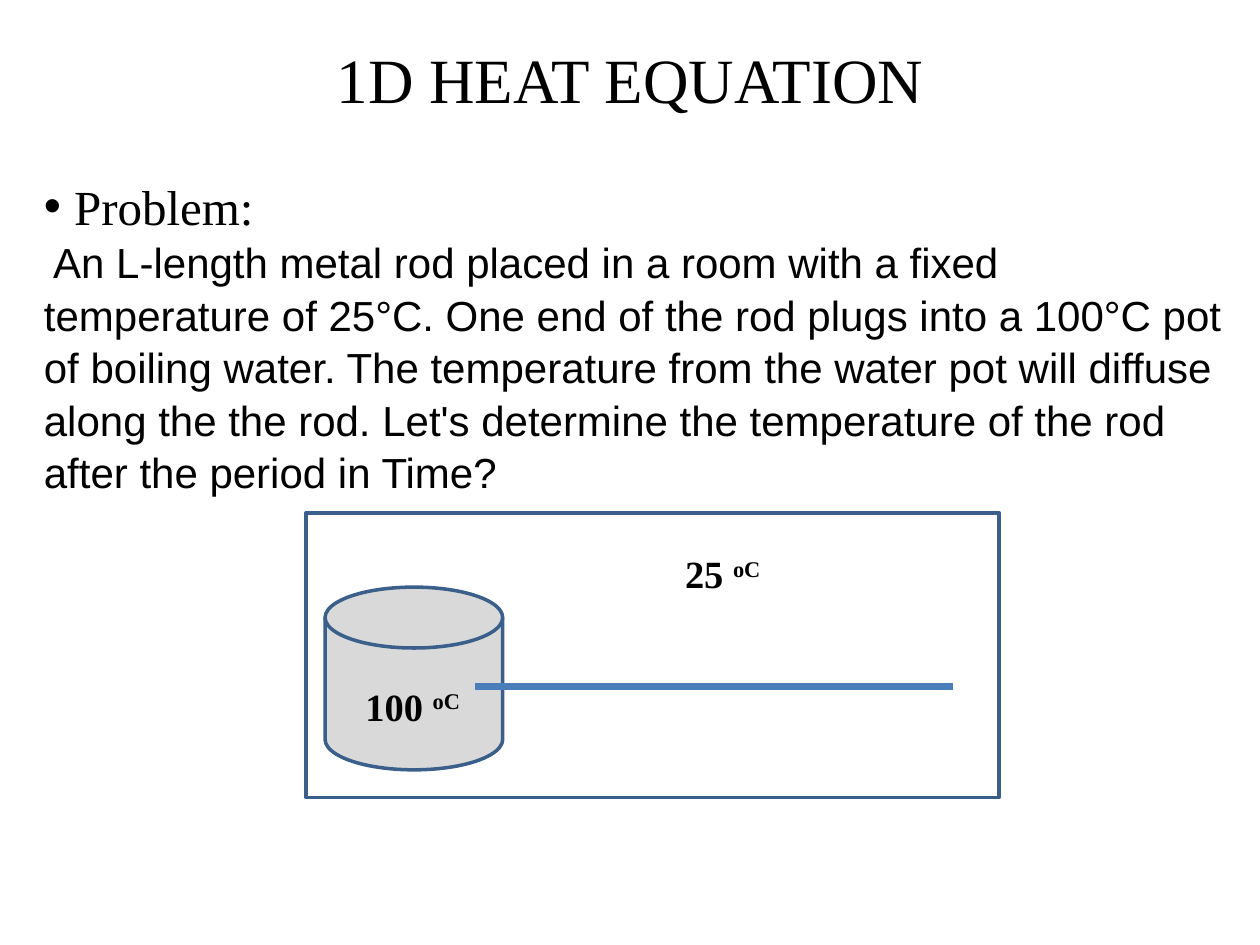
import pptx
import pptx.util
import pptx.dml.color
import pptx.enum.shapes
import pptx.enum.text
import pptx.oxml.ns
from lxml import etree

Inches, Pt = pptx.util.Inches, pptx.util.Pt
SHAPES = pptx.enum.shapes.MSO_SHAPE
ALIGN = pptx.enum.text.PP_ALIGN
ANCHOR = pptx.enum.text.MSO_ANCHOR

SERIF, SANS = "Times New Roman", "Arial"
BLACK, OUTLINE, ROD, POT = "000000", "3A5F8B", "4A7EBB", "D9D9D9"

TITLE = "1D HEAT EQUATION"
HEADING = "Problem:"
PROBLEM = (
    " An L-length metal rod placed in a room with a fixed temperature of 25°C. "
    "One end of the rod plugs into a 100°C pot of boiling water. "
    "The temperature from the water pot will diffuse along the the rod. "
    "Let's determine the temperature of the rod after the period in Time?"
)
LABELS = [("100 ", 2.72, 5.37), ("25 ", 5.18, 4.32)]
LABEL_SIZE = (1.11, 0.46)
OUTLINES = {
    "pot": (SHAPES.FLOWCHART_MAGNETIC_DISK, (2.58, 4.66, 1.41, 1.45), POT),
    "room": (SHAPES.RECTANGLE, (2.43, 4.07, 5.5, 2.26), None),
}
ROD_ENDS = (3.77, 5.45, 7.56, 5.45)


def color(value):
    return pptx.dml.color.RGBColor.from_string(value)


def add_text_box(page, place, anchor=ANCHOR.TOP):
    frame = page.shapes.add_textbox(*map(Inches, place)).text_frame
    frame.word_wrap = True
    frame.vertical_anchor = anchor
    return frame


def add_span(paragraph, text, name, size, bold=False):
    span = paragraph.add_run()
    span.text = text
    for key, value in {"name": name, "size": Pt(size), "bold": bold}.items():
        setattr(span.font, key, value)
    span.font.color.rgb = color(BLACK)
    return span


def add_bullet(paragraph, indent):
    properties = paragraph._p.get_or_add_pPr()
    properties.set("marL", str(Inches(indent)))
    properties.set("indent", str(-Inches(indent)))
    font = etree.SubElement(properties, pptx.oxml.ns.qn("a:buFont"))
    font.set("typeface", SANS)
    mark = etree.SubElement(properties, pptx.oxml.ns.qn("a:buChar"))
    mark.set("char", "•")


def add_title(page):
    paragraph = add_text_box(page, (0.5, 0.08, 9, 1.08), ANCHOR.MIDDLE).paragraphs[0]
    paragraph.alignment = ALIGN.CENTER
    add_span(paragraph, TITLE, SERIF, 36)


def add_problem(page):
    frame = add_text_box(page, (0.25, 1.33, 9.58, 5.75))
    heading, body = frame.paragraphs[0], frame.add_paragraph()
    for paragraph in (heading, body):
        paragraph.line_spacing = 1.04
    heading.space_before = Pt(1.5)
    add_bullet(heading, 0.24)
    add_span(heading, HEADING, SERIF, 28)
    add_span(body, PROBLEM, SANS, 24)


def add_outline(page, kind, place, fill):
    shape = page.shapes.add_shape(kind, *map(Inches, place))
    shape.shadow.inherit = False
    if fill:
        shape.fill.solid()
        shape.fill.fore_color.rgb = color(fill)
    else:
        shape.fill.background()
    shape.line.color.rgb = color(OUTLINE)
    shape.line.width = Pt(2)


def add_rod(page):
    rod = page.shapes.add_connector(
        pptx.enum.shapes.MSO_CONNECTOR.STRAIGHT, *map(Inches, ROD_ENDS))
    rod.line.color.rgb = color(ROD)
    rod.line.width = Pt(4)
    etree.SubElement(rod._element.spPr, pptx.oxml.ns.qn("a:effectLst"))


def add_label(page, value, left, top):
    paragraph = add_text_box(page, (left, top, *LABEL_SIZE)).paragraphs[0]
    paragraph.alignment = ALIGN.CENTER
    add_span(paragraph, value, SERIF, 22, True)
    unit = add_span(paragraph, "oC", SERIF, 22, True)
    unit.font._element.set("baseline", "30000")


def main():
    deck = pptx.Presentation()
    deck.slide_width, deck.slide_height = Inches(10), Inches(7.5)
    page = deck.slides.add_slide(deck.slide_layouts[6])
    add_title(page)
    add_problem(page)
    add_outline(page, *OUTLINES["pot"])
    add_rod(page)
    add_outline(page, *OUTLINES["room"])
    for label in LABELS:
        add_label(page, *label)
    deck.save("out.pptx")


if __name__ == "__main__":
    main()
